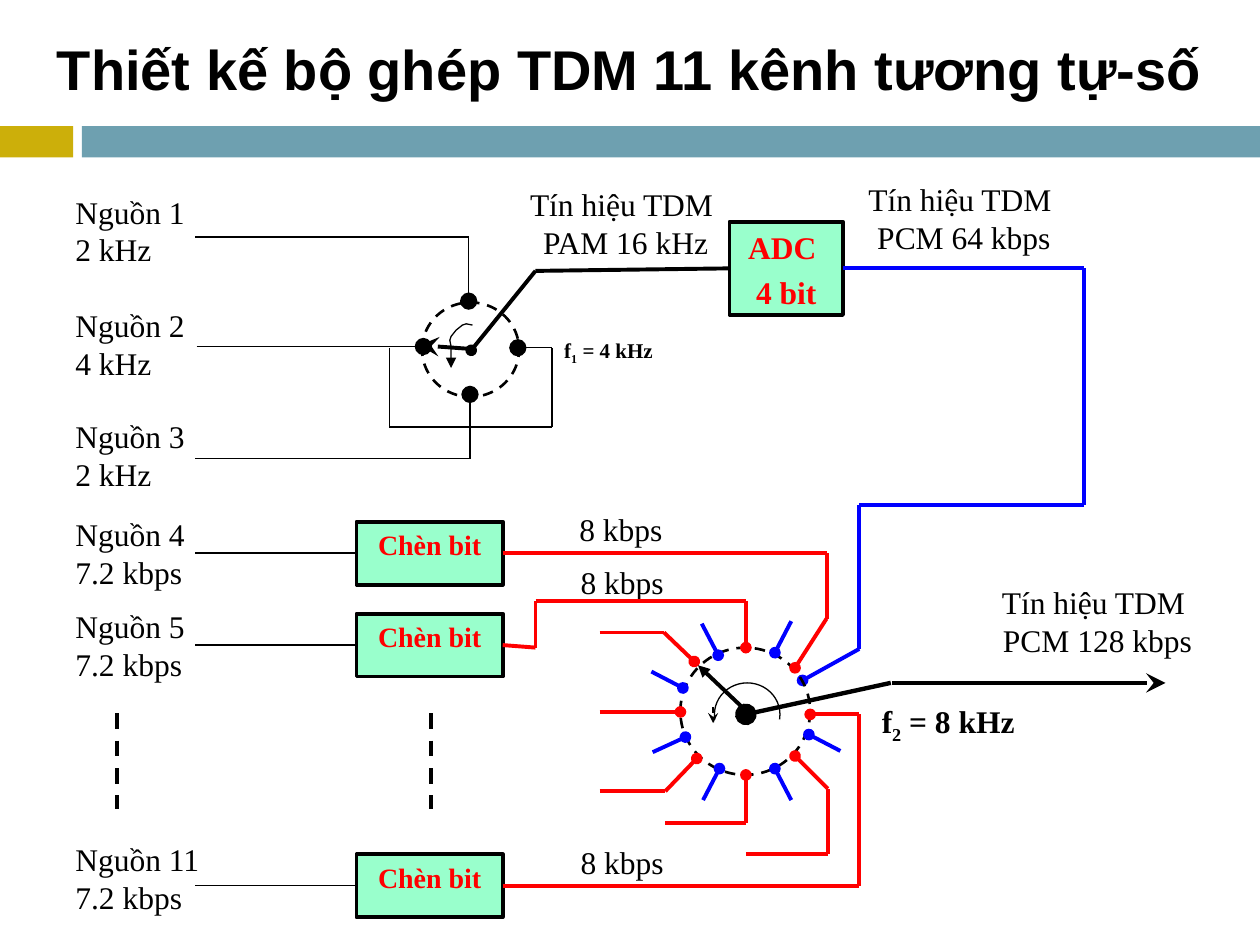
from pptx import Presentation
from pptx.dml.color import RGBColor
from pptx.enum.dml import MSO_LINE
from pptx.enum.shapes import MSO_CONNECTOR, MSO_SHAPE
from pptx.enum.text import MSO_ANCHOR, PP_ALIGN
from pptx.oxml.ns import qn
from pptx.util import Inches, Pt
from lxml.etree import SubElement

COLORS = {"black": "000000", "white": "FFFFFF", "red": "FF0000", "blue": "0000FF",
          "mint": "99FFCC", "gold": "CCAF0A", "teal": "6EA0B0"}


def rgb(name):
    return RGBColor.from_string(COLORS[name])


def write_text(frame, text, size=18, color="black", bold=False, font="Times New Roman",
               align=PP_ALIGN.LEFT, anchor=MSO_ANCHOR.TOP, space_before=0):
    """Fill a frame line by line; parts between underscores become subscripts."""
    frame.word_wrap = True
    frame.vertical_anchor = anchor
    for index, line in enumerate(text.split("\n")):
        paragraph = frame.add_paragraph() if index else frame.paragraphs[0]
        paragraph.alignment = align
        if index and space_before:
            paragraph.space_before = Pt(space_before)
        for position, part in enumerate(line.split("_")):
            run = paragraph.add_run()
            run.text = part
            run.font.size = Pt(size)
            run.font.name = font
            run.font.bold = bold
            run.font.color.rgb = rgb(color)
            if position % 2:
                run._r.get_or_add_rPr().set("baseline", "-25000")


class Diagram:
    """Holds the slide and the shared look of its elements."""

    thin = 0.75
    thick = 2.25

    def __init__(self, slide):
        self.shapes = slide.shapes

    def label(self, left, top, width, height, text, **style):
        """Add a text box."""
        box = self.shapes.add_textbox(*map(Inches, (left, top, width, height)))
        write_text(box.text_frame, text, **style)

    def shape(self, kind, left, top, width, height, fill=None, line=None, dash=None):
        """Add a preset shape."""
        shape = self.shapes.add_shape(kind, *map(Inches, (left, top, width, height)))
        shape.shadow.inherit = False
        if fill:
            shape.fill.solid()
            shape.fill.fore_color.rgb = rgb(fill)
        else:
            shape.fill.background()
        if line:
            self.stroke(shape, "black", line, dash)
        else:
            shape.line.fill.background()
        return shape

    def block(self, left, top, width, height, text, **style):
        """Add a mint processing block with red text."""
        block = self.shape(MSO_SHAPE.RECTANGLE, left, top, width, height, "mint", self.thick)
        write_text(block.text_frame, text, color="red", bold=True,
                   align=PP_ALIGN.CENTER, **style)
        return block

    def stroke(self, shape, color, width, dash=None, head=None, tail=None, size="med"):
        """Set the line of a shape and its end marks."""
        shape.line.color.rgb = rgb(color)
        shape.line.width = Pt(width)
        if dash:
            shape.line.dash_style = dash
        outline = shape._element.spPr.find(qn("a:ln"))
        for tag, mark in (("a:headEnd", head), ("a:tailEnd", tail)):
            if mark:
                SubElement(outline, qn(tag), type=mark, w=size, len=size)

    def route(self, *points, color="black", width=thin, dash=None, head=None, tail=None,
              size="med", start=None, end=None):
        """Link points with straight connectors, joined to blocks at the ends."""
        last = len(points) - 2
        for index, (first, second) in enumerate(zip(points, points[1:])):
            line = self.shapes.add_connector(MSO_CONNECTOR.STRAIGHT,
                                             *map(Inches, first + second))
            if start and index == 0:
                line.begin_connect(*start)
            if end and index == last:
                line.end_connect(*end)
            self.stroke(line, color, width, dash, head if index == 0 else None,
                        tail if index == last else None, size)
            SubElement(line._element.spPr, qn("a:effectLst"))

    def curve(self, points, **style):
        """Add an open outline through the points."""
        spots = [(Inches(x), Inches(y)) for x, y in points]
        builder = self.shapes.build_freeform(*spots[0])
        builder.add_line_segments(spots[1:], close=False)
        shape = builder.convert_to_shape()
        shape.shadow.inherit = False
        shape.fill.background()
        self.stroke(shape, "black", self.thin, **style)


def add_labels(diagram):
    """Write the title and all captions."""
    diagram.shape(MSO_SHAPE.RECTANGLE, 0, 1, 0.58, 0.25, "gold")
    diagram.shape(MSO_SHAPE.RECTANGLE, 0.65, 1, 9.35, 0.25, "teal")
    diagram.label(0, 0.08, 10, 0.92, "Thiết kế bộ ghép TDM 11 kênh tương tự-số", size=32,
                  bold=True, font="Arial", align=PP_ALIGN.CENTER, anchor=MSO_ANCHOR.MIDDLE)
    for number, top, rate in ((1, 1.48, "2 kHz"), (2, 2.38, "4 kHz"), (3, 3.26, "2 kHz"),
                              (4, 4.04, "7.2 kbps"), (5, 4.77, "7.2 kbps"),
                              (11, 6.62, "7.2 kbps")):
        diagram.label(0.5, top, 1.67, 0.63, f"Nguồn {number}\n{rate}")
    for left, top in ((4.5, 4), (4.51, 4.42), (4.51, 6.64)):
        diagram.label(left, top, 1.03, 0.38, "8 kbps")
    for left, top, width, signal in ((4.01, 1.42, 1.91, "PAM 16 kHz"),
                                     (6.75, 1.38, 1.8, "PCM 64 kbps"),
                                     (7.5, 4.58, 2.42, "PCM 128 kbps")):
        diagram.label(left, top, width, 0.67, f"Tín hiệu TDM \n{signal}",
                      align=PP_ALIGN.CENTER)
    diagram.label(4.38, 2.63, 1.03, 0.38, "f_1_ = 4 kHz", size=12, bold=True)
    diagram.label(6.9, 5.52, 1.43, 0.38, "f_2_ = 8 kHz", bold=True)


def add_analog_stage(diagram):
    """Draw the first commutator, the converter and its output."""
    dot = {"tail": "oval", "size": "lg"}
    diagram.route((1.55, 1.88), (3.72, 1.88), (3.72, 2.39), **dot)
    diagram.route((1.56, 2.75), (3.36, 2.75), **dot)
    diagram.route((1.55, 3.64), (3.73, 3.64), (3.73, 3.13), **dot)
    diagram.route((3.09, 2.76), (3.09, 3.39), (4.38, 3.39), (4.38, 2.76), (4.11, 2.76), **dot)
    diagram.shape(MSO_SHAPE.OVAL, 3.35, 2.4, 0.77, 0.75, line=1.5, dash=MSO_LINE.DASH)
    converter = diagram.block(5.79, 1.76, 0.9, 0.74, "ADC \n4 bit", space_before=4)
    diagram.route((3.74, 2.77), (3.33, 2.74), width=diagram.thick, tail="stealth", size="lg")
    diagram.route((3.74, 2.78), (4.25, 2.15), (5.79, 2.15), width=diagram.thick, head="oval",
                  end=(converter, 1))
    diagram.route((6.69, 2.13), (8.6, 2.13), (8.6, 4.01), (6.82, 4.01), (6.82, 5.15),
                  (6.37, 5.4), color="blue", width=diagram.thick, tail="oval",
                  start=(converter, 3))
    diagram.curve([(3.75, 2.58), (3.7, 2.57), (3.67, 2.58), (3.62, 2.62), (3.58, 2.67),
                   (3.57, 2.7), (3.58, 2.75), (3.58, 2.92)], tail="triangle")


def add_digital_stage(diagram):
    """Draw the bit stuffing blocks, the second commutator and its output."""
    diagram.shape(MSO_SHAPE.OVAL, 5.4, 5.14, 1.03, 1.01, line=1.5, dash=MSO_LINE.DASH)
    feeds = (
        (4.39, [(6.56, 4.39), (6.56, 4.91), (6.31, 5.3)]),
        (5.12, [(4.25, 5.14), (4.25, 4.77), (5.92, 4.77), (5.92, 5.14)]),
        (7.03, [(6.82, 7.03), (6.82, 5.67), (6.43, 5.67)]),
    )
    for middle, path_points in feeds:
        block = diagram.block(2.83, middle - 0.25, 1.16, 0.5, "Chèn bit", size=16)
        diagram.route((1.55, middle), (2.83, middle), end=(block, 1))
        diagram.route((3.99, middle), *path_points, color="red", width=diagram.thick,
                      tail="oval", start=(block, 3))
    stubs = {
        "red": ([(4.76, 5.65), (5.4, 5.65)],
                [(5.28, 6.53), (5.92, 6.53), (5.92, 6.15)],
                [(4.76, 6.28), (5.28, 6.28), (5.53, 6.02)],
                [(4.76, 5.02), (5.27, 5.02), (5.51, 5.25)],
                [(5.92, 6.78), (6.57, 6.78), (6.57, 6.26), (6.31, 6)]),
        "blue": ([(6.28, 4.93), (6.15, 5.18)], [(5.57, 4.95), (5.7, 5.2)],
                 [(5.17, 5.33), (5.42, 5.46)], [(5.18, 5.97), (5.44, 5.85)],
                 [(5.58, 6.35), (5.71, 6.1)], [(6.28, 6.35), (6.15, 6.1)],
                 [(6.67, 5.96), (6.42, 5.83)]),
    }
    for color, group in stubs.items():
        for points in group:
            diagram.route(*points, color=color, width=diagram.thick, tail="oval")
    diagram.shape(MSO_SHAPE.OVAL, 5.67, 5.42, 0.52, 0.5, line=diagram.thin)
    diagram.shape(MSO_SHAPE.RECTANGLE, 5.67, 5.71, 0.52, 0.25, "white")
    diagram.route((5.66, 5.61), (5.66, 5.74), tail="stealth")
    diagram.route((5.92, 5.67), (7.07, 5.42), width=2.5, head="oval", size="lg")
    diagram.route((7.08, 5.42), (9.25, 5.42), width=diagram.thick, tail="stealth", size="lg")
    diagram.route((5.93, 5.65), (5.54, 5.28), width=diagram.thick, head="oval",
                  tail="triangle")
    for left in (0.93, 3.42):
        diagram.route((left, 5.66), (left, 6.42), width=diagram.thick, dash=MSO_LINE.DASH)


def main():
    """Build and save the slide."""
    presentation = Presentation()
    presentation.slide_width = Inches(10)
    presentation.slide_height = Inches(7.5)
    diagram = Diagram(presentation.slides.add_slide(presentation.slide_layouts[6]))
    add_labels(diagram)
    add_analog_stage(diagram)
    add_digital_stage(diagram)
    presentation.save("out.pptx")


if __name__ == "__main__":
    main()
